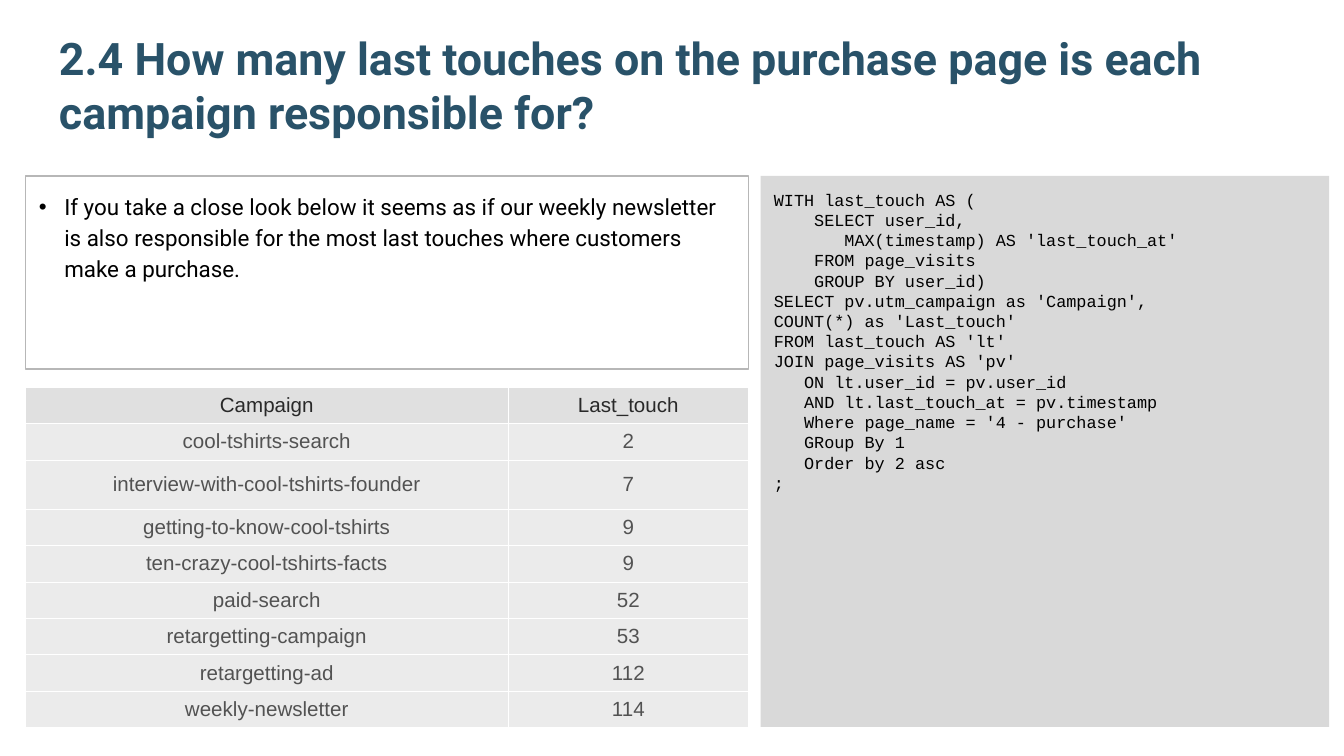
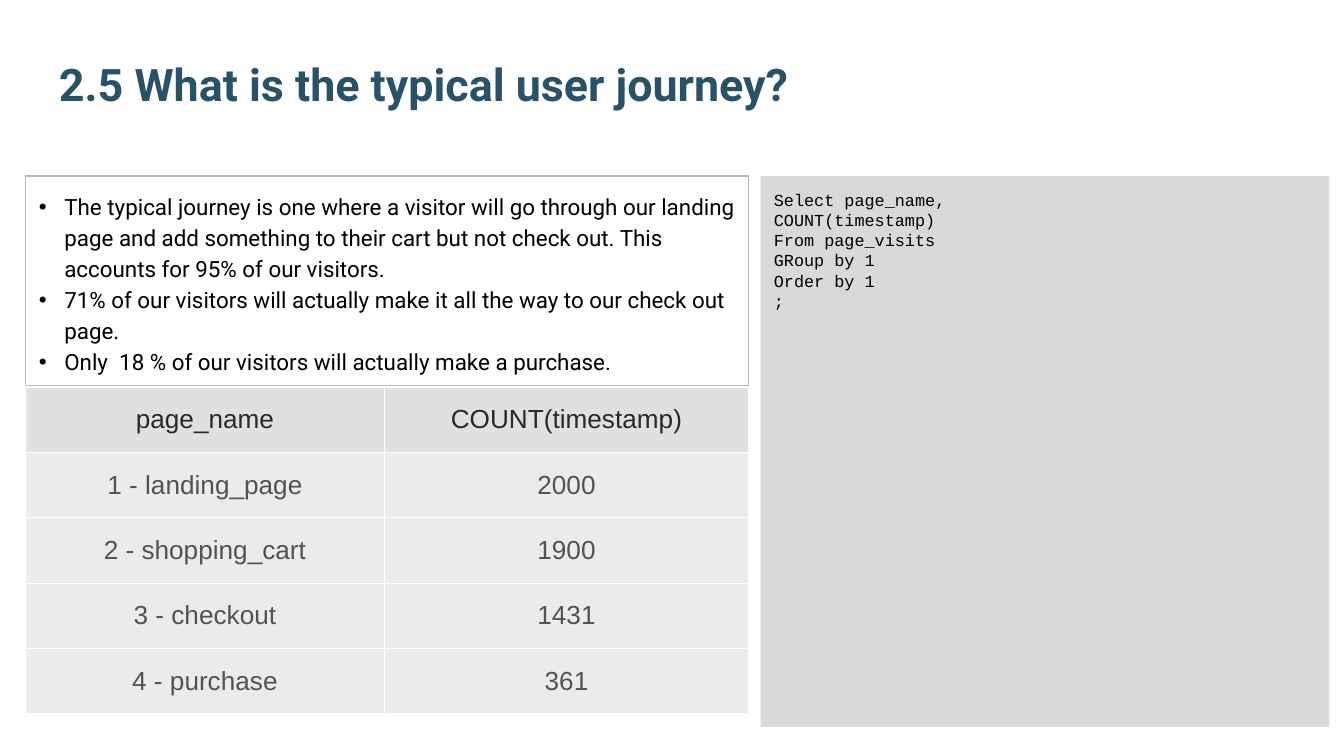
from dataclasses import dataclass

from lxml.etree import SubElement
from pptx import Presentation
from pptx.dml.color import RGBColor
from pptx.enum.shapes import MSO_SHAPE
from pptx.enum.text import MSO_ANCHOR, PP_ALIGN
from pptx.oxml.ns import qn
from pptx.util import Pt

# Shared colours
TITLE_BLUE = "295269"
BLACK = "000000"
WHITE = "FFFFFF"
CODE_GRAY = "D9D9D9"
OUTLINE_GRAY = "B7B7B7"
HEADER_FILL, HEADER_TEXT = "E0E0E0", "292929"
BODY_FILL, BODY_TEXT = "EBEBEB", "525252"

# Shared layout, in points
LEFT, PANEL_TOP, LEFT_WIDTH = 13.7, 94.3, 387.4
CODE_LEFT, CODE_WIDTH, CODE_HEIGHT = 407.5, 304.6, 295.2
TABLE_TOP = 207.4
INSET = 7.2
BULLET_INDENT = 13.7


@dataclass
class ResultTable:
    rows: list[tuple[str, str]]
    column_widths: tuple[float, float]
    row_heights: list[float]
    size: float
    margins: tuple[float, float]


@dataclass
class QuestionSlide:
    title: str
    title_height: float
    code: str
    findings: list[str]
    findings_height: float
    result: ResultTable


QUESTIONS = [
    QuestionSlide(
        title="2.4 How many last touches on the purchase page is each campaign responsible for?",
        title_height=58.3,
        code="""WITH last_touch AS (
    SELECT user_id,
       MAX(timestamp) AS 'last_touch_at'
    FROM page_visits
    GROUP BY user_id)
SELECT pv.utm_campaign as 'Campaign',
COUNT(*) as 'Last_touch'
FROM last_touch AS 'lt'
JOIN page_visits AS 'pv'
   ON lt.user_id = pv.user_id
   AND lt.last_touch_at = pv.timestamp
   Where page_name = '4 - purchase'
   GRoup By 1
   Order by 2 asc
;""",
        findings=[
            "If you take a close look below it seems as if our weekly newsletter is also "
            "responsible for the most last touches where customers make a purchase.",
        ],
        findings_height=103.5,
        result=ResultTable(
            rows=[
                ("Campaign", "Last_touch"),
                ("cool-tshirts-search", "2"),
                ("interview-with-cool-tshirts-founder", "7"),
                ("getting-to-know-cool-tshirts", "9"),
                ("ten-crazy-cool-tshirts-facts", "9"),
                ("paid-search", "52"),
                ("retargetting-campaign", "53"),
                ("retargetting-ad", "112"),
                ("weekly-newsletter", "114"),
            ],
            column_widths=(258.5, 128.9),
            row_heights=[19.5] * 2 + [26.5] + [19.5] * 6,
            size=11,
            margins=(5.8, 2.9),
        ),
    ),
    QuestionSlide(
        title="2.5 What is the typical user journey?",
        title_height=43.2,
        code="""Select page_name,
COUNT(timestamp)
From page_visits
GRoup by 1
Order by 1
;""",
        findings=[
            "The typical journey is one where a visitor will go through our landing page and add "
            "something to their cart but not check out. This accounts for 95% of our visitors.",
            "71% of our visitors will actually make it all the way to our check out page.",
            "Only  18 % of our visitors will actually make a purchase.",
        ],
        findings_height=112.3,
        result=ResultTable(
            rows=[
                ("page_name", "COUNT(timestamp)"),
                ("1 - landing_page", "2000"),
                ("2 - shopping_cart", "1900"),
                ("3 - checkout", "1431"),
                ("4 - purchase", "361"),
            ],
            column_widths=(192.3, 195.1),
            row_heights=[35] * 5,
            size=14,
            margins=(7.2, 3.6),
        ),
    ),
]


def rgb(value: str) -> RGBColor:
    return RGBColor.from_string(value)


def style_runs(text_frame, font_name: str, size: float, color: str, bold: bool = False) -> None:
    for paragraph in text_frame.paragraphs:
        for run in paragraph.runs:
            run.font.name = font_name
            run.font.size = Pt(size)
            run.font.bold = bold
            run.font.color.rgb = rgb(color)


def prepare_frame(text_frame, text: str, anchor: MSO_ANCHOR) -> None:
    text_frame.word_wrap = True
    text_frame.vertical_anchor = anchor
    text_frame.margin_left = text_frame.margin_right = Pt(INSET)
    text_frame.margin_top = text_frame.margin_bottom = Pt(INSET)
    text_frame.text = text
    for paragraph in text_frame.paragraphs:
        paragraph.alignment = PP_ALIGN.LEFT


def add_title(slide, title: str, height: float) -> None:
    box = slide.shapes.add_textbox(Pt(24.5), Pt(23), Pt(671), Pt(height))
    prepare_frame(box.text_frame, title, MSO_ANCHOR.BOTTOM)
    style_runs(box.text_frame, "Roboto", 24, TITLE_BLUE, bold=True)


def add_panel(slide, left: float, width: float, height: float, text: str):
    """Add a plain rectangle that starts at the shared panel top."""
    shape = slide.shapes.add_shape(
        MSO_SHAPE.RECTANGLE, Pt(left), Pt(PANEL_TOP), Pt(width), Pt(height)
    )
    shape.shadow.inherit = False
    prepare_frame(shape.text_frame, text, MSO_ANCHOR.TOP)
    return shape


def add_code(slide, code: str) -> None:
    shape = add_panel(slide, CODE_LEFT, CODE_WIDTH, CODE_HEIGHT, code)
    shape.fill.solid()
    shape.fill.fore_color.rgb = rgb(CODE_GRAY)
    shape.line.fill.background()
    style_runs(shape.text_frame, "Courier New", 9, BLACK)


def add_bullet(paragraph) -> None:
    paragraph.line_spacing = 1.15
    properties = paragraph._p.get_or_add_pPr()
    properties.set("marL", str(Pt(BULLET_INDENT)))
    properties.set("indent", str(-Pt(BULLET_INDENT)))
    bullet_color = SubElement(properties, qn("a:buClr"))
    SubElement(bullet_color, qn("a:srgbClr")).set("val", BLACK)
    SubElement(properties, qn("a:buFont")).set("typeface", "Arial")
    SubElement(properties, qn("a:buChar")).set("char", "•")


def add_findings(slide, findings: list[str], height: float) -> None:
    shape = add_panel(slide, LEFT, LEFT_WIDTH, height, "\n".join(findings))
    shape.fill.background()
    shape.line.color.rgb = rgb(OUTLINE_GRAY)
    shape.line.width = Pt(0.75)
    for paragraph in shape.text_frame.paragraphs:
        add_bullet(paragraph)
    style_runs(shape.text_frame, "Roboto", 12, BLACK)


def add_cell_borders(cell) -> None:
    properties = cell._tc.get_or_add_tcPr()
    for side in ("lnL", "lnR", "lnT", "lnB"):
        border = SubElement(properties, qn(f"a:{side}"))
        border.set("w", str(Pt(0.38)))
        fill = SubElement(border, qn("a:solidFill"))
        SubElement(fill, qn("a:srgbClr")).set("val", WHITE)


def style_cell(cell, text: str, result: ResultTable, is_header: bool) -> None:
    horizontal, vertical = result.margins
    cell.margin_left = cell.margin_right = Pt(horizontal)
    cell.margin_top = cell.margin_bottom = Pt(vertical)
    cell.vertical_anchor = MSO_ANCHOR.MIDDLE
    add_cell_borders(cell)
    cell.fill.solid()
    cell.fill.fore_color.rgb = rgb(HEADER_FILL if is_header else BODY_FILL)
    cell.text_frame.text = text
    cell.text_frame.paragraphs[0].alignment = PP_ALIGN.CENTER
    style_runs(cell.text_frame, "Arial", result.size, HEADER_TEXT if is_header else BODY_TEXT)


def add_result(slide, result: ResultTable) -> None:
    table = slide.shapes.add_table(
        len(result.rows), len(result.column_widths),
        Pt(LEFT), Pt(TABLE_TOP), Pt(LEFT_WIDTH), Pt(sum(result.row_heights)),
    ).table
    table.first_row = table.horz_banding = False
    for column, width in zip(table.columns, result.column_widths):
        column.width = Pt(width)
    for row_index, (row, height) in enumerate(zip(table.rows, result.row_heights)):
        row.height = Pt(height)
        for cell, text in zip(row.cells, result.rows[row_index]):
            style_cell(cell, text, result, is_header=row_index == 0)


def main() -> None:
    presentation = Presentation()
    presentation.slide_width = Pt(720)
    presentation.slide_height = Pt(405)
    for question in QUESTIONS:
        slide = presentation.slides.add_slide(presentation.slide_layouts[6])
        add_title(slide, question.title, question.title_height)
        add_code(slide, question.code)
        add_findings(slide, question.findings, question.findings_height)
        add_result(slide, question.result)
    presentation.save("out.pptx")


if __name__ == "__main__":
    main()
